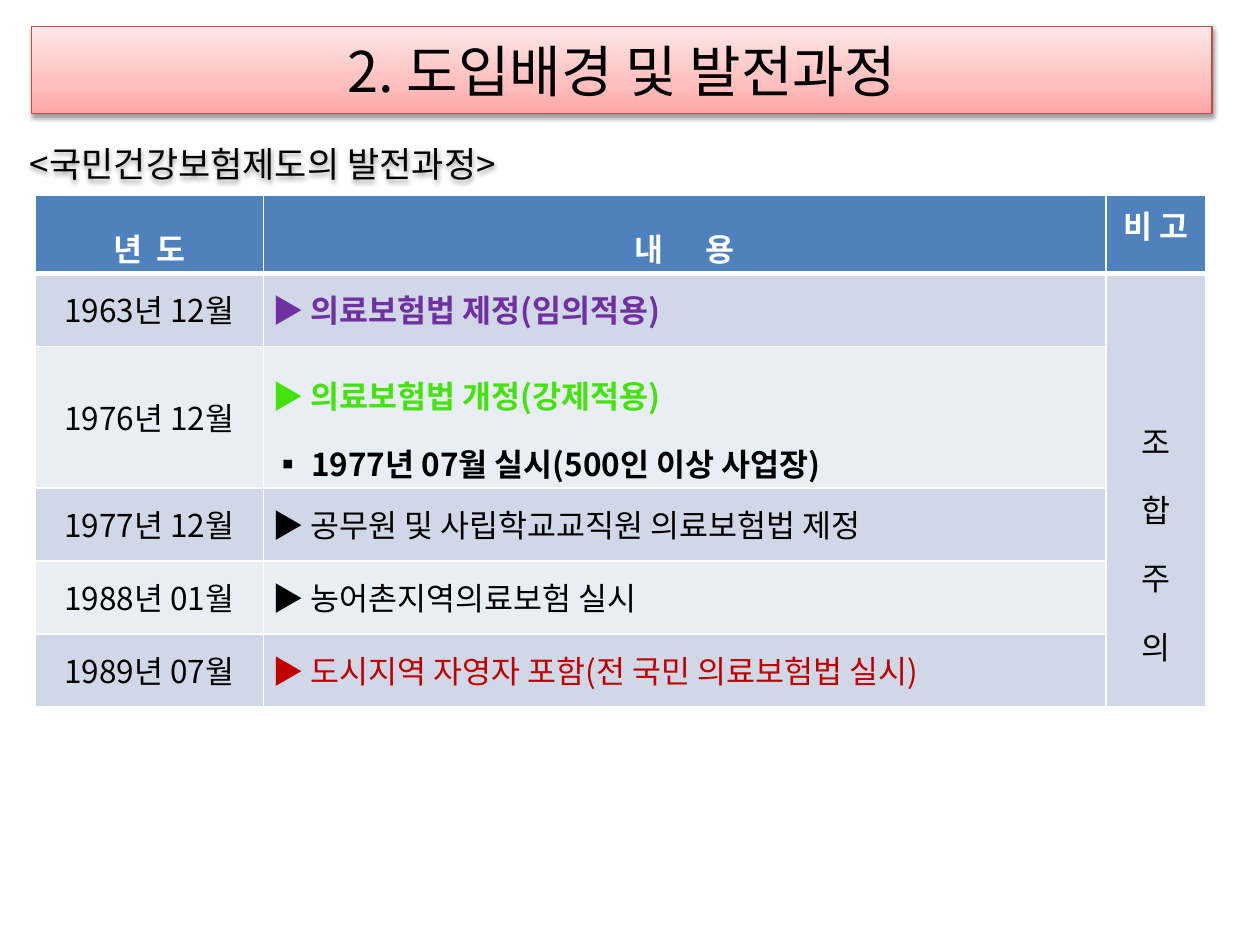
from lxml import etree
from pptx import Presentation
from pptx import util as u
from pptx.dml.color import RGBColor
from pptx.enum import shapes, text
from pptx.oxml import parse_xml
from pptx.oxml.ns import nsdecls, qn

BLACK = RGBColor(0, 0, 0)
WHITE = RGBColor(255, 255, 255)
PURPLE = RGBColor(0x70, 0x30, 0xA0)
GREEN = RGBColor(0x45, 0xE3, 0x0D)
RED = RGBColor(0xC0, 0, 0)
TITLE_LINE = RGBColor(0xBF, 0x4C, 0x48)
HEADER = RGBColor(0x4F, 0x81, 0xBD)
BANDS = RGBColor(0xD0, 0xD8, 0xE8), RGBColor(0xE9, 0xED, 0xF4)
TITLE_STOPS = (0, "FFA6A5"), (35, "FFC0BF"), (100, "FFE7E7")

CENTER, JUSTIFY = text.PP_ALIGN.CENTER, text.PP_ALIGN.JUSTIFY
MIDDLE, BOTTOM = text.MSO_ANCHOR.MIDDLE, text.MSO_ANCHOR.BOTTOM
EXACT = u.Pt(25)

COLUMNS = 18.1, 66.9, 7.9
ROWS = 3.9, 5.8, 9.1, 5.8, 5.8, 5.8
HISTORY = [
    ("1963년 12월", [("▶ 의료보험법 제정(임의적용)", PURPLE, True)]),
    ("1976년 12월", [("▶ 의료보험법 개정(강제적용)", GREEN, True),
                   ("1977년 07월 실시(500인 이상 사업장)", BLACK, True)]),
    ("1977년 12월", [("▶ 공무원 및 사립학교교직원 의료보험법 제정", BLACK, False)]),
    ("1988년 01월", [("▶ 농어촌지역의료보험 실시", BLACK, False)]),
    ("1989년 07월", [("▶ 도시지역 자영자 포함(전 국민 의료보험법 실시)", RED, False)]),
]


class Deck:
    """Style and current slide, measured on a grid of 100 columns by 75 rows."""
    font = "Noto Sans CJK KR"

    def __init__(self):
        self.prs = Presentation()
        self.prs.slide_width, self.prs.slide_height = u.Inches(10), u.Inches(7.5)
        self.unit = self.prs.slide_width // 100
        self.s = self.prs.slides.add_slide(self.prs.slide_layouts[5])

    def grid(self, *lengths):
        return [round(n * self.unit) for n in lengths]

    def run(self, p, words, size=18, color=BLACK, bold=False, gap=0):
        """Add a run; gap is extra letter spacing in points."""
        r = p.add_run()
        r.text = words
        r.font.size, r.font.bold, r.font.name = u.Pt(size), bold, self.font
        r.font.color.rgb = color
        rPr = r.font._element
        etree.SubElement(rPr, qn("a:ea"), typeface=self.font)
        if gap:
            rPr.set("spc", str(gap * 100))

    def shadow(self, sp):
        sp._element.spPr.append(parse_xml(
            f'<a:effectLst {nsdecls("a")}><a:outerShdw blurRad="{u.Pt(3.1)}" '
            f'dist="{u.Pt(1.6)}" dir="5400000" rotWithShape="0"><a:srgbClr val="000000">'
            '<a:alpha val="38000"/></a:srgbClr></a:outerShdw></a:effectLst>'))

    def title(self, words, *at):
        sp = self.s.shapes.title
        sp.left, sp.top, sp.width, sp.height = self.grid(*at)
        stops = "".join(f'<a:gs pos="{pos * 1000}"><a:srgbClr val="{c}"/></a:gs>'
                        for pos, c in TITLE_STOPS)
        sp._element.spPr.append(parse_xml(
            f'<a:gradFill {nsdecls("a")} rotWithShape="1"><a:gsLst>{stops}</a:gsLst>'
            '<a:lin ang="16200000" scaled="0"/></a:gradFill>'))
        sp.line.color.rgb, sp.line.width = TITLE_LINE, u.Pt(0.75)
        self.shadow(sp)
        tf = sp.text_frame
        tf.vertical_anchor = MIDDLE
        tf.paragraphs[0].alignment = CENTER
        self.run(tf.paragraphs[0], words, size=32)

    def subtitle(self, words, *at):
        sp = self.s.shapes.add_shape(shapes.MSO_SHAPE.ROUNDED_RECTANGLE, *self.grid(*at))
        sp.fill.background()
        sp.line.fill.background()
        self.shadow(sp)
        tf = sp.text_frame
        tf.word_wrap, tf.vertical_anchor = True, MIDDLE
        tf.paragraphs[0].alignment = text.PP_ALIGN.LEFT
        self.run(tf.paragraphs[0], words, size=20)

    def table(self, left, top, columns, rows):
        frame = self.s.shapes.add_table(
            len(rows), len(columns), *self.grid(left, top, sum(columns), sum(rows)))
        table = frame.table
        for col, width in zip(table.columns, self.grid(*columns)):
            col.width = width
        for row, height in zip(table.rows, self.grid(*rows)):
            row.height = height
        for i, row in enumerate(table.rows):
            for cell in row.cells:
                cell.fill.solid()
                cell.fill.fore_color.rgb = BANDS[(i - 1) % 2] if i else HEADER
                self.borders(cell, top=3 if i == 1 else 1, bottom=1 if i else 3)
        return table

    def borders(self, cell, top, bottom):
        tcPr = cell._tc.get_or_add_tcPr()
        for i, (side, width) in enumerate(zip("LRTB", (1, 1, top, bottom))):
            tcPr.insert(i, parse_xml(
                f'<a:ln{side} {nsdecls("a")} w="{u.Pt(width)}"><a:solidFill>'
                f'<a:srgbClr val="{WHITE}"/></a:solidFill></a:ln{side}>'))

    def tighten(self, cell):
        cell.vertical_anchor = MIDDLE
        cell.margin_left = cell.margin_right = u.Inches(0.07)
        cell.margin_top = cell.margin_bottom = u.Inches(0.02)

    def paragraph(self, cell, align, spacing=None):
        """Return the cell's first paragraph while it is empty, else a new one."""
        tf = cell.text_frame
        p = tf.add_paragraph() if tf.text else tf.paragraphs[0]
        p.alignment, p.line_spacing = align, spacing
        return p

    def bullet(self, p):
        pPr = p._p.get_or_add_pPr()
        pPr.set("marL", str(u.Inches(0.31)))
        pPr.set("indent", str(-u.Inches(0.31)))
        etree.SubElement(pPr, qn("a:buFont"), typeface=self.font)
        etree.SubElement(pPr, qn("a:buChar"), char="▪")


def fill_header(deck, table):
    for col, (first, last, gap) in enumerate([("년", "도", 4), ("내", "용", 20)]):
        cell = table.cell(0, col)
        deck.tighten(cell)
        p = deck.paragraph(cell, CENTER, 1.6)
        for words, extra in ((first, 0), (" ", gap), (last, 0)):
            deck.run(p, words, color=WHITE, bold=True, gap=extra)
    deck.run(deck.paragraph(table.cell(0, 2), CENTER), "비 고", color=WHITE, bold=True)


def fill_history(deck, table):
    for row, (date, events) in enumerate(HISTORY, 1):
        when, what = table.cell(row, 0), table.cell(row, 1)
        deck.tighten(when)
        deck.tighten(what)
        deck.run(deck.paragraph(when, CENTER, EXACT), date)
        for words, color, bold in events:
            p = deck.paragraph(what, JUSTIFY, 1.5 if len(events) > 1 else EXACT)
            if not words.startswith("▶"):
                deck.bullet(p)
            deck.run(p, words, color=color, bold=bold)


def fill_remark(deck, table):
    cell = table.cell(1, 2)
    cell.merge(table.cell(len(HISTORY), 2))
    cell.vertical_anchor, cell.margin_bottom = BOTTOM, u.Inches(0.31)
    for letter in "조합주의":
        deck.run(deck.paragraph(cell, CENTER, 1.5), letter)


def main():
    deck = Deck()
    deck.title("2. 도입배경 및 발전과정", 2.5, 2.1, 93.7, 6.9)
    table = deck.table(2.8, 15.5, COLUMNS, ROWS)
    fill_header(deck, table)
    fill_history(deck, table)
    fill_remark(deck, table)
    deck.subtitle("<국민건강보험제도의 발전과정>", 1.2, 11, 50.4, 3.9)
    deck.prs.save("out.pptx")


if __name__ == "__main__":
    main()
